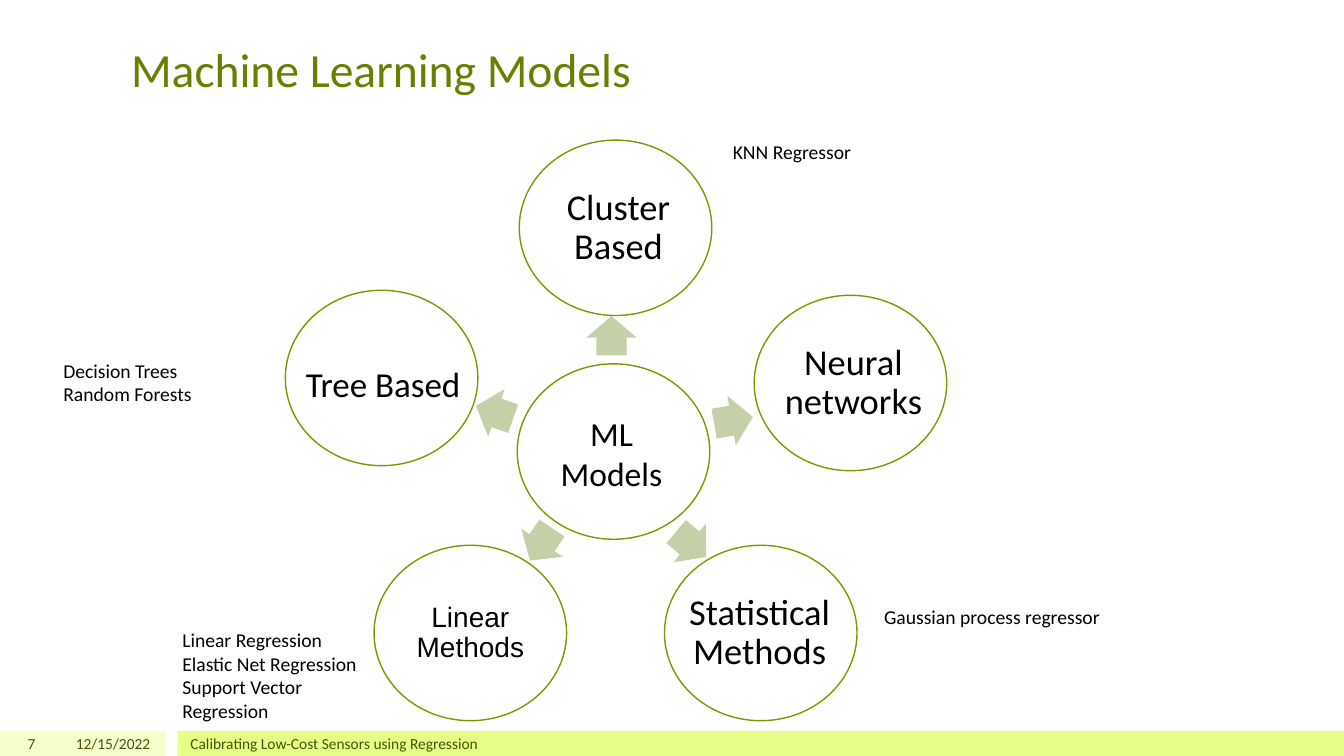
from pptx import Presentation
from pptx.dml.color import RGBColor
from pptx.enum.shapes import MSO_SHAPE
from pptx.enum.text import MSO_ANCHOR, MSO_AUTO_SIZE, PP_ALIGN
from pptx.util import Inches, Pt

WHITE = RGBColor(0xFF, 0xFF, 0xFF)
BLACK = RGBColor(0x00, 0x00, 0x00)
OLIVE = RGBColor(0x68, 0x7F, 0x00)
DARK = RGBColor(0x45, 0x55, 0x00)
GREEN = RGBColor(0x7A, 0x99, 0x00)
SAGE = RGBColor(0xC4, 0xD1, 0xA8)
PALE = RGBColor(0xF4, 0xFF, 0xCB)
LIME = RGBColor(0xE8, 0xFF, 0x87)

WIDE, HIGH = 1.91, 1.74
BUBBLES = [
    ("Cluster Based", 5.15, 1.39, dict(dx=0.2, width=1.57)),
    ("Neural networks", 7.48, 2.93, dict(dx=0.06, width=1.85)),
    ("Statistical\nMethods", 6.59, 5.41, dict(dx=0.16, width=1.57)),
    ("Linear\nMethods", 3.71, 5.41,
     dict(dx=0.28, width=1.35, size=20, font="Arial")),
    ("Tree Based", 2.83, 2.88, dict(dx=0.14, dy=0.34, width=1.66, size=25)),
    ("ML Models", 5.13, 3.61,
     dict(dx=0.32, dy=0.27, width=1.23, size=24, space=1, inset=0.1)),
]
ARROWS = [(4.71, 3.84, 199.1), (7.08, 3.92, 350.3), (5.87, 3.08, 270),
          (5.17, 5.15, 124), (6.66, 5.15, 40.1)]
NOTES = [
    ("Linear Regression\nElastic Net Regression\nSupport Vector Regression",
     (1.71, 6.13, 2.26, 1.14)),
    ("KNN Regressor", (7.17, 1.29, 2.73, 0.44)),
    ("Decision Trees\nRandom Forests", (0.53, 3.46, 2.26, 0.67)),
    ("Gaussian process regressor", (8.67, 5.9, 2.73, 0.44)),
]


def place(box):
    """Turn a box in inches into lengths."""
    return [Inches(n) for n in box]


def write(frame, text, size=14, color=BLACK, font="Calibri",
          align=PP_ALIGN.LEFT, anchor=MSO_ANCHOR.TOP, inset=(0.1, 0.1),
          space=1):
    """Fill a text frame, one paragraph for each line."""
    frame.word_wrap = True
    frame.auto_size = MSO_AUTO_SIZE.NONE
    frame.vertical_anchor = anchor
    frame.margin_left = frame.margin_right = Inches(inset[0])
    frame.margin_top = frame.margin_bottom = Inches(inset[1])
    frame.text = text
    for para in frame.paragraphs:
        para.alignment = align
        para.line_spacing = space
        para.font.size = Pt(size)
        para.font.name = font
        para.font.color.rgb = color


def label(slide, text, box, **style):
    """Add a text box."""
    write(slide.shapes.add_textbox(*place(box)).text_frame, text, **style)


def shape(slide, kind, box, fill, line=None):
    """Add a flat preset shape."""
    item = slide.shapes.add_shape(kind, *place(box))
    item.shadow.inherit = False
    item.fill.solid()
    item.fill.fore_color.rgb = fill
    if line is None:
        item.line.fill.background()
    else:
        item.line.color.rgb = line
        item.line.width = Pt(1)
    return item


def header(slide, box):
    """Set the slide title."""
    title = slide.shapes.title
    title.left, title.top, title.width, title.height = place(box)
    write(title.text_frame, "Machine Learning Models", size=34, color=OLIVE,
          anchor=MSO_ANCHOR.BOTTOM, inset=(0.1, 0.05))


def footer(slide, box):
    """Draw the bands with number, date and talk name."""
    left, top, width, height = box
    for dx, wide, fill in [(0, 1.64, PALE), (1.76, width - 1.76, LIME)]:
        shape(slide, MSO_SHAPE.RECTANGLE, (left + dx, top, wide, height), fill)
    for text, dx, wide, align in [
        ("7", 0, 0.45, PP_ALIGN.RIGHT),
        ("12/15/2022", 0.5, 1.09, PP_ALIGN.RIGHT),
        ("Calibrating Low-Cost Sensors using Regression", 1.79, 10,
         PP_ALIGN.LEFT),
    ]:
        label(slide, text, (left + dx, top, wide, height), size=11, color=DARK,
              align=align, anchor=MSO_ANCHOR.MIDDLE, inset=(0.1, 0.05))


def bubble(slide, box, text, dx, width, dy=0.26, size=26, font="Calibri",
           space=0.9, inset=0.04):
    """Draw a circle with its name inside."""
    left, top = box[:2]
    shape(slide, MSO_SHAPE.OVAL, box, WHITE, GREEN)
    label(slide, text, (left + dx, top + dy, width, 1.23), size=size,
          font=font, align=PP_ALIGN.CENTER, anchor=MSO_ANCHOR.MIDDLE,
          space=space, inset=(inset, inset))


def arrow(slide, box, turn):
    """Draw a block arrow turned outward."""
    item = shape(slide, MSO_SHAPE.RIGHT_ARROW, box, SAGE)
    item.adjustments[0] = 0.6
    item.adjustments[1] = 0.55
    item.rotation = turn


def main():
    """Build and save the slide."""
    deck = Presentation()
    deck.slide_width, deck.slide_height = Inches(13.33), Inches(7.5)
    slide = deck.slides.add_slide(deck.slide_layouts[5])
    footer(slide, (0, 7.25, 13.33, 0.25))
    header(slide, (1.2, 0, 9.85, 1.01))
    for text, left, top, style in BUBBLES:
        bubble(slide, (left, top, WIDE, HIGH), text, **style)
    for left, top, turn in ARROWS:
        arrow(slide, (left, top, 0.39, 0.5), turn)
    for text, box in NOTES:
        label(slide, text, box)
    deck.save("out.pptx")


if __name__ == "__main__":
    main()
